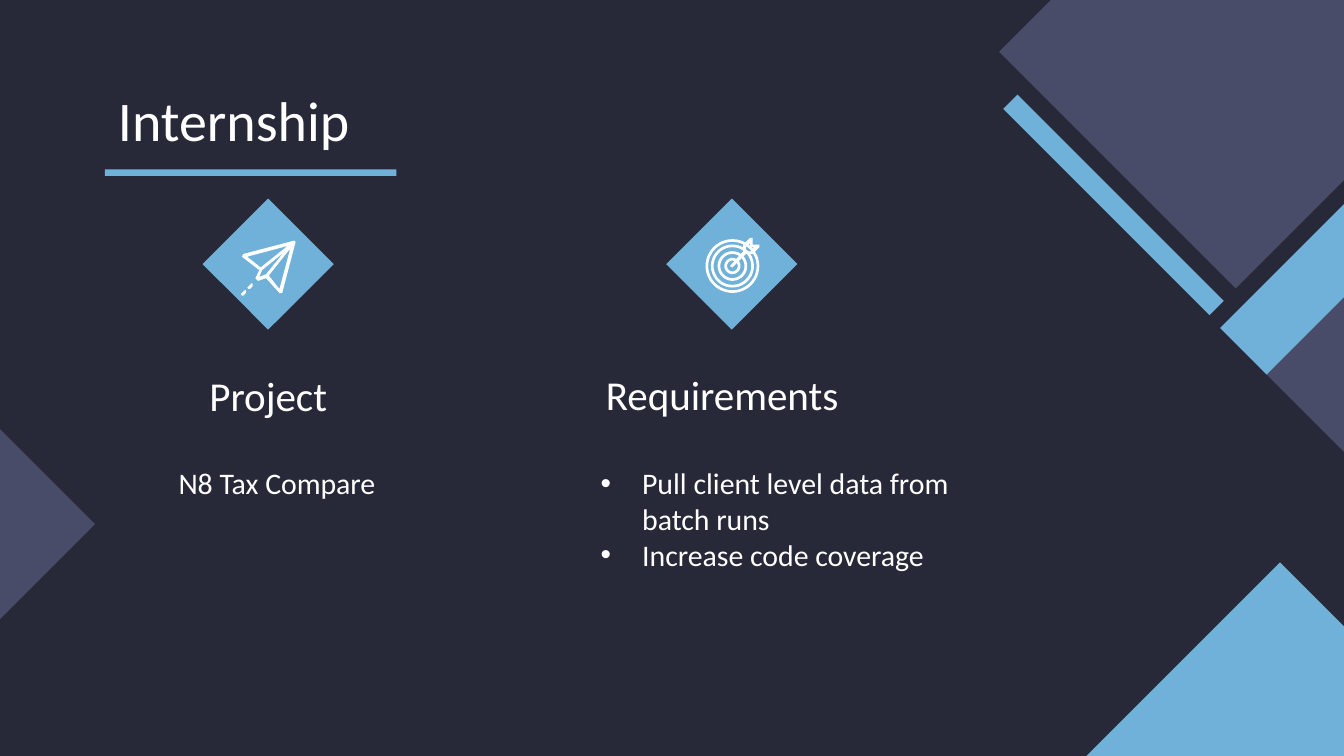
import math

from lxml import etree
from pptx import Presentation, util as u
from pptx.dml.color import RGBColor
from pptx.enum import shapes, text
from pptx.oxml.ns import qn

HUES = {"night": "282938", "plum": "484C68", "sky": "70B1DA", "white": "FFFFFF"}
FONT = "Calibri"


class Deck:
    """Holds the style and the current slide."""

    def __init__(self, wide):
        self.prs = Presentation()
        self.prs.slide_width = u.Inches(wide)
        self.prs.slide_height = u.Inches(wide * 9 / 16)
        self.slide = self.prs.slides.add_slide(self.prs.slide_layouts[6])
        self.paint(self.slide.background.fill, "night")

    def paint(self, fill, hue):
        fill.solid()
        fill.fore_color.rgb = RGBColor.from_string(HUES[hue])

    def finish(self, shape, hue):
        self.paint(shape.fill, hue)
        shape.line.fill.background()
        shape.shadow.inherit = False

    def block(self, left, top, wide, high, turn, hue):
        box = map(u.Inches, (left, top, wide, high))
        shape = self.slide.shapes.add_shape(shapes.MSO_SHAPE.RECTANGLE, *box)
        shape.rotation = turn
        self.finish(shape, hue)

    def outline(self, loops, hue="white"):
        """Draw closed loops as one shape; inner loops become holes."""
        pens = [[(u.Inches(x), u.Inches(y)) for x, y in loop] for loop in loops]
        form = self.slide.shapes.build_freeform(*pens[0][0], scale=1.0)
        form.add_line_segments(pens[0][1:], close=True)
        for pen in pens[1:]:
            form.move_to(*pen[0])
            form.add_line_segments(pen[1:], close=True)
        self.finish(form.convert_to_shape(), hue)

    def words(self, left, top, wide, high, copy, size, bullet=False, middle=False):
        box = map(u.Inches, (left, top, wide, high))
        frame = self.slide.shapes.add_textbox(*box).text_frame
        frame.word_wrap = True
        frame.margin_left = frame.margin_right = u.Inches(0.1)
        frame.margin_top = frame.margin_bottom = u.Inches(0.1)
        anchor = text.MSO_ANCHOR
        frame.vertical_anchor = anchor.MIDDLE if middle else anchor.TOP
        frame.text = copy
        for para in frame.paragraphs:
            for run in para.runs:
                run.font.name = FONT
                run.font.size = u.Pt(size)
                run.font.color.rgb = RGBColor.from_string(HUES["white"])
            if bullet:
                self.dot(para)

    def dot(self, para):
        props = para._p.get_or_add_pPr()
        props.set("marL", str(u.Inches(0.31)))
        props.set("indent", str(-u.Inches(0.31)))
        tint = etree.SubElement(props, qn("a:buClr"))
        etree.SubElement(tint, qn("a:srgbClr"), val=HUES["white"])
        etree.SubElement(props, qn("a:buFont"), typeface="Arial")
        etree.SubElement(props, qn("a:buChar"), char="•")


def ring(x, y, radius, steps=48):
    turns = [2 * math.pi * i / steps for i in range(steps)]
    return [(x + radius * math.cos(t), y + radius * math.sin(t)) for t in turns]


def main():
    deck = Deck(10)

    # Corner and edge decoration
    for part in (
        (7.95, -0.86, 2.49, 2.49, 315, "plum"),
        (9.71, 1.92, 0.93, 1.34, 45, "plum"),
        (9.48, 1.47, 0.49, 1.34, 45, "sky"),
        (8.28, 4.7, 2.49, 2.49, 315, "sky"),
        (-0.91, 3.23, 1.34, 1.34, 315, "plum"),
        (8.21, 0.44, 0.15, 2.17, 315, "sky"),
    ):
        deck.block(*part)

    # Title and its rule
    deck.words(0.78, 0.59, 8.44, 0.59, "Internship", 30, middle=True)
    deck.block(1.84, 0.2, 0.05, 2.17, 90, "sky")

    # Icon diamonds
    for left in (1.65, 5.1):
        deck.block(left, 1.62, 0.69, 0.69, 45, "sky")

    # Column heads and text
    deck.words(1.46, 2.66, 2.28, 0.53, "Project", 22)
    deck.words(4.41, 2.65, 2.48, 0.53, "Requirements", 22)
    deck.words(1.23, 3.36, 2.28, 0.79, "N8 Tax Compare", 16)
    needs = "Pull client level data from batch runs\nIncrease code coverage"
    deck.words(4.37, 3.36, 2.87, 1.34, needs, 16, bullet=True)

    # Paper plane with its trail
    deck.outline([
        [(2.19, 1.79), (1.81, 1.89), (1.8, 1.91), (1.93, 2.01), (1.9, 2.07),
         (1.92, 2.09), (1.98, 2.07), (2.08, 2.18), (2.1, 2.18), (2.2, 1.8)],
        [(2.14, 1.83), (1.94, 1.99), (1.84, 1.91)],
        [(2.11, 1.88), (1.98, 2.04), (1.93, 2.06), (1.95, 2.01)],
        [(2.16, 1.85), (2.08, 2.15), (2, 2.05)],
    ])
    dash = [(1.82, 2.16), (1.83, 2.16), (1.83, 2.18), (1.81, 2.2),
            (1.8, 2.2), (1.79, 2.19), (1.8, 2.18)]
    for step in (0, 0.05):
        deck.outline([[(x + step, y - step) for x, y in dash]])

    # Target rings, then the dart
    radii = (0.2, 0.18, 0.16, 0.14, 0.11, 0.09, 0.06, 0.04)
    deck.outline([ring(5.45, 1.98, radius) for radius in radii])
    deck.outline([
        [(5.6, 1.77), (5.6, 1.82), (5.65, 1.82), (5.65, 1.84), (5.6, 1.89),
         (5.55, 1.89), (5.45, 1.99), (5.43, 1.98), (5.53, 1.87),
         (5.53, 1.82), (5.58, 1.77)],
        [(5.58, 1.81), (5.58, 1.84), (5.61, 1.84), (5.59, 1.87),
         (5.55, 1.87), (5.55, 1.84)],
    ])

    deck.prs.save("out.pptx")


if __name__ == "__main__":
    main()
